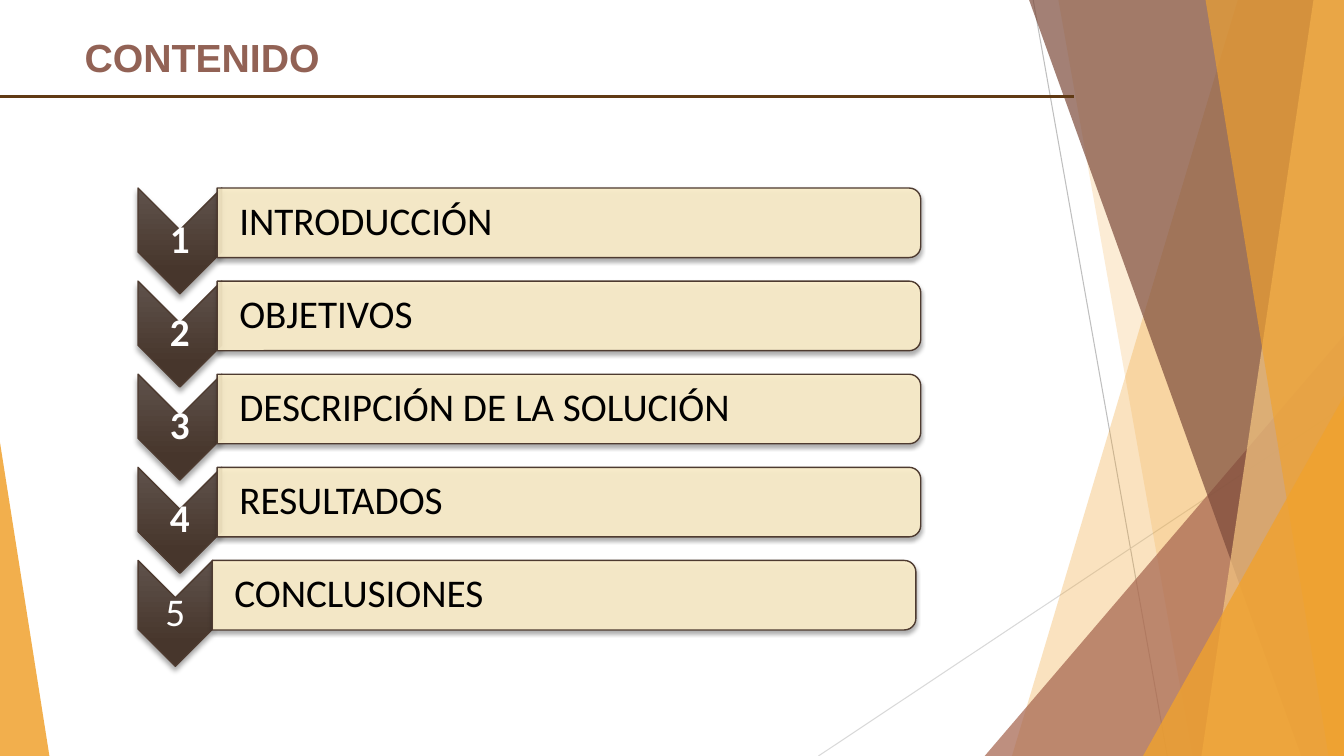
"""Build the contents slide with numbered rows and a faceted border."""
from dataclasses import dataclass

from lxml import etree
from pptx import Presentation
from pptx import util as u
from pptx.dml.color import RGBColor
from pptx.enum import shapes, text
from pptx.oxml import ns

WHITE = RGBColor(0xFF, 0xFF, 0xFF)
BLACK = RGBColor(0x00, 0x00, 0x00)
GOLD = RGBColor(0xF0, 0xA2, 0x2E)
PALE_GOLD = RGBColor(0xF6, 0xC7, 0x82)
RUST = RGBColor(0xA5, 0x64, 0x4E)
BROWN = RGBColor(0x7C, 0x4B, 0x3B)
RULE_BROWN = RGBColor(0x60, 0x3A, 0x14)
TITLE_BROWN = RGBColor(0x92, 0x62, 0x55)
CREAM = RGBColor(0xFB, 0xEE, 0xC9)
EDGE = RGBColor(0x4E, 0x3B, 0x30)
CHEVRON_LIGHT = RGBColor(0x5F, 0x52, 0x4B)
CHEVRON_DARK = RGBColor(0x47, 0x36, 0x2C)
GREY = RGBColor(0xBF, 0xBF, 0xBF)
LIGHT_GREY = RGBColor(0xD9, 0xD9, 0xD9)

TOPICS = ["INTRODUCCIÓN", "OBJETIVOS", "DESCRIPCIÓN DE LA SOLUCIÓN",
          "RESULTADOS", "CONCLUSIONES"]


@dataclass
class Box:
    """A rectangle in points."""
    left: float
    top: float
    width: float
    height: float

    @property
    def right(self):
        """Return the right edge."""
        return self.left + self.width

    @property
    def bottom(self):
        """Return the bottom edge."""
        return self.top + self.height

    def lengths(self):
        """Return the four measures as slide lengths."""
        return [u.Pt(n) for n in (self.left, self.top, self.width, self.height)]

    def turned(self):
        """Return the unrotated frame that fills this box after a quarter turn."""
        shift = (self.width - self.height) / 2
        return Box(self.left + shift, self.top - shift, self.height, self.width)


def write(frame, words, *, size=28, font="Calibri", color=BLACK, bold=False,
          align=text.PP_ALIGN.LEFT, spacing=None, insets=None):
    """Put one formatted paragraph into a text frame."""
    frame.word_wrap = True
    frame.auto_size = text.MSO_AUTO_SIZE.NONE
    frame.vertical_anchor = text.MSO_ANCHOR.MIDDLE
    if insets:
        (frame.margin_left, frame.margin_top,
         frame.margin_right, frame.margin_bottom) = [u.Pt(n) for n in insets]
    para = frame.paragraphs[0]
    para.alignment = align
    para.line_spacing = spacing
    span = para.add_run()
    span.text = words
    span.font.size = u.Pt(size)
    span.font.name = font
    span.font.bold = bold
    span.font.color.rgb = color


def fill_solid(shape, color, opacity):
    """Give a shape a translucent fill and no line."""
    shape.shadow.inherit = False
    shape.fill.solid()
    shape.fill.fore_color.rgb = color
    shape.line.fill.background()
    tint = shape._element.spPr.find(ns.qn("a:solidFill"))[0]
    etree.SubElement(tint, ns.qn("a:alpha"), val=str(opacity * 1000))


def add_line(page, start, end, color, width):
    """Draw a straight line without a shadow."""
    line = page.shapes.add_connector(
        shapes.MSO_CONNECTOR.STRAIGHT, *[u.Pt(n) for n in (*start, *end)])
    line.line.color.rgb = color
    line.line.width = u.Pt(width)
    etree.SubElement(line._element.spPr, ns.qn("a:effectLst"))


def add_facet(page, box, top_reach, bottom_reach, color, opacity):
    """Draw a slanted panel reaching inward from the right edge of the box."""
    corners = [(box.right - top_reach, box.top), (box.right, box.top),
               (box.right, box.bottom), (box.right - bottom_reach, box.bottom)]
    points = [(u.Pt(x), u.Pt(y)) for x, y in corners]
    builder = page.shapes.build_freeform(*points[0], scale=1.0)
    builder.add_line_segments(points[1:], close=True)
    fill_solid(builder.convert_to_shape(), color, opacity)


def add_corner(page, box, width, height, color, opacity, at_right=True):
    """Draw a right triangle in a bottom corner of the box."""
    left = box.right - width if at_right else box.left
    frame = Box(left, box.bottom - height, width, height)
    shape = page.shapes.add_shape(
        shapes.MSO_SHAPE.ISOSCELES_TRIANGLE, *frame.lengths())
    shape.adjustments[0] = 1 if at_right else 0
    fill_solid(shape, color, opacity)


def add_border(page, box):
    """Draw the overlapping facets along the sides of the box."""
    add_line(page, (box.right - 222, box.top), (box.right - 126.2, box.bottom), GREY, 0.75)
    add_line(page, (box.right, box.bottom - 249.8),
             (box.right - 375.4, box.bottom), LIGHT_GREY, 0.75)
    add_facet(page, box, 75.8, 237.1, GOLD, 30)
    add_facet(page, box, 204, 108.2, GOLD, 20)
    add_corner(page, box, 256.6, 300.2, RUST, 72)
    add_facet(page, box, 224.9, 30.5, BROWN, 70)
    add_facet(page, box, 21.8, 101.8, PALE_GOLD, 70)
    add_facet(page, box, 98.9, 11, GOLD, 65)
    add_corner(page, box, 143.5, 257, GOLD, 80)
    add_corner(page, box, 35.3, 223.9, GOLD, 85, at_right=False)


def add_heading(page, box):
    """Place the title and the rule under it."""
    add_line(page, (0, box.bottom + 2.9), (767.5, box.bottom + 2.9), RULE_BROWN, 2.25)
    title = page.shapes.title
    title.left, title.top, title.width, title.height = box.lengths()
    write(title.text_frame, "CONTENIDO", font="Arial", color=TITLE_BROWN, bold=True)


def add_turned(page, kind, box, blur, distance):
    """Add an outlined, shadowed shape turned by a quarter."""
    shape = page.shapes.add_shape(kind, *box.turned().lengths())
    shape.rotation = 90
    shape.line.color.rgb = EDGE
    shape.line.width = u.Pt(1)
    shape.shadow.inherit = False
    effects = shape._element.spPr.find(ns.qn("a:effectLst"))
    shadow = etree.SubElement(
        effects, ns.qn("a:outerShdw"), blurRad=str(u.Pt(blur)),
        dist=str(u.Pt(distance)), dir="5400000", rotWithShape="0")
    tint = etree.SubElement(shadow, ns.qn("a:srgbClr"), val=str(BLACK))
    etree.SubElement(tint, ns.qn("a:alpha"), val="35000")
    return shape


def add_label(page, box, words, **style):
    """Add a text box with tight line spacing."""
    label = page.shapes.add_textbox(*box.lengths())
    write(label.text_frame, words, spacing=0.9, **style)


def add_chevron(page, box, number, bold):
    """Draw the downward chevron with its number."""
    chevron = add_turned(page, shapes.MSO_SHAPE.CHEVRON, box, 4, 3)
    chevron.fill.gradient()
    chevron.fill.gradient_angle = 270
    stops = zip(chevron.fill.gradient_stops, (CHEVRON_LIGHT, CHEVRON_DARK), (0, 0.78))
    for stop, color, position in stops:
        stop.color.rgb = color
        stop.position = position
    chevron._element.spPr.find(ns.qn("a:gradFill")).set("rotWithShape", "0")
    middle = Box(box.left, box.top + box.height / 2 - 8.3, box.width, 16.6)
    add_label(page, middle, str(number), color=WHITE, bold=bold,
              align=text.PP_ALIGN.CENTER, insets=(1.4, 1.4, 1.4, 1.4))


def add_bar(page, box, topic):
    """Draw the rounded bar with its topic."""
    bar = add_turned(page, shapes.MSO_SHAPE.ROUND_2_SAME_RECTANGLE, box, 3, 2)
    bar.fill.solid()
    bar.fill.fore_color.rgb = CREAM
    tint = bar._element.spPr.find(ns.qn("a:solidFill"))[0]
    etree.SubElement(tint, ns.qn("a:alpha"), val="90000")
    add_label(page, box, topic, insets=(15.8, 1.4, 1.4, 1.4))


def add_topics(page, box):
    """Stack the numbered topics down the box at an equal pitch."""
    pitch = box.height / len(TOPICS)
    for index, topic in enumerate(TOPICS):
        last = index == len(TOPICS) - 1
        top = box.top + index * pitch
        chevron_width, bar_offset = (53.3, 53) if last else (59.8, 56.5)
        add_chevron(page, Box(box.left, top, chevron_width, 75.6), index + 1, not last)
        add_bar(page, Box(box.left + bar_offset, top, 502.6, 49.7), topic)


def main():
    """Assemble and save the deck."""
    deck = Presentation()
    deck.slide_width, deck.slide_height = u.Pt(960), u.Pt(540)
    page = deck.slides.add_slide(deck.slide_layouts[5])
    add_border(page, Box(0, 0, 960, 540))
    add_heading(page, Box(53.3, 15.1, 676.8, 51.1))
    add_topics(page, Box(98.6, 134.3, 560, 332.5))
    deck.save("out.pptx")


if __name__ == "__main__":
    main()
